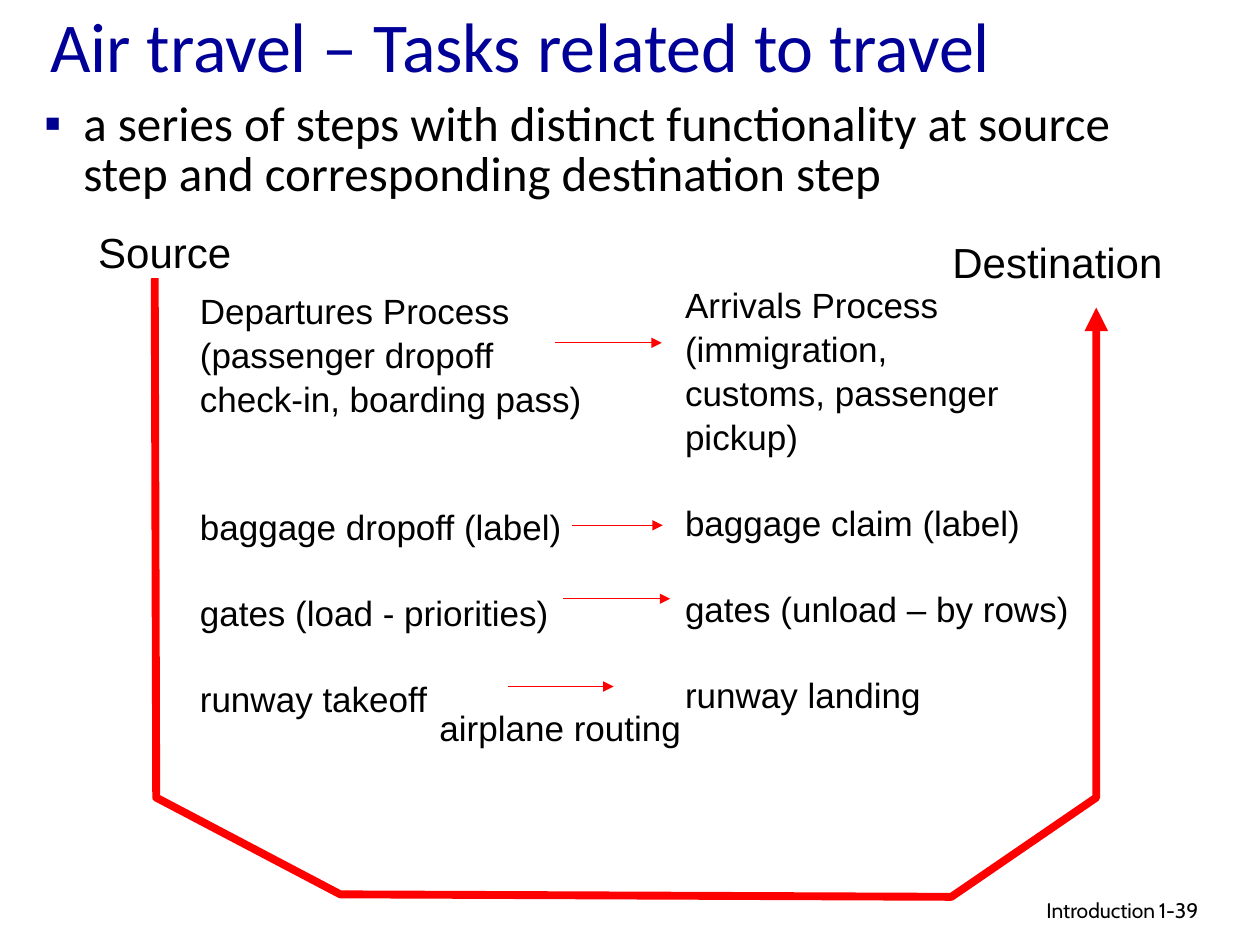
from dataclasses import dataclass

from lxml.etree import SubElement
from pptx import Presentation
from pptx.dml.color import RGBColor
from pptx.enum.text import MSO_ANCHOR, PP_ALIGN
from pptx.enum.shapes import MSO_CONNECTOR
from pptx.oxml.ns import qn
from pptx.util import Cm, Pt


@dataclass(frozen=True)
class Theme:
    """Colours, fonts and type sizes of the slide."""
    ink: RGBColor = RGBColor(0, 0, 0)
    title: RGBColor = RGBColor(0, 0, 0x99)
    bullet: str = "000090"
    route: RGBColor = RGBColor(0xFF, 0, 0)
    heading_font: str = "Calibri"
    label_font: str = "Arial"
    footer_font: str = "Cabin"
    title_size: int = 40
    body_size: int = 28
    place_size: int = 24
    step_size: int = 20
    footer_size: int = 12
    step_gap: int = 24


THEME = Theme()

DEPARTURES = [
    ("Departures Process", 0),
    ("(passenger dropoff", 0),
    ("check-in, boarding pass)", 0),
    ("baggage dropoff (label)", 2),
    ("gates (load - priorities)", 1),
    ("runway takeoff", 1),
]
ARRIVALS = [
    ("Arrivals Process", 0),
    ("(immigration,", 0),
    ("customs, passenger", 0),
    ("pickup)", 0),
    ("baggage claim (label)", 1),
    ("gates (unload – by rows)", 1),
    ("runway landing", 1),
]
ROUTE = [(3.12, 5.61), (3.15, 16.08), (6.86, 18.03),
         (19.18, 18.08), (22.1, 16.08), (22.1, 6.2)]
STEP_ARROWS = [(11.18, 13.34, 6.91), (11.53, 13.36, 10.59),
               (11.35, 13.51, 12.07), (10.24, 12.37, 13.84)]


def apply_format(target, values):
    """Set every attribute named in values on the target."""
    for name, value in values.items():
        setattr(target, name, value)


def add_text(slide, box, lines, font, size, colour=THEME.ink, frame_format=None, paragraph_format=None):
    """Add a text box with one paragraph per (text, gap count) line."""
    shape = slide.shapes.add_textbox(*map(Cm, box))
    frame = shape.text_frame
    apply_format(frame, {"word_wrap": True, **(frame_format or {})})
    for index, (text, gaps) in enumerate(lines):
        paragraph = frame.paragraphs[0] if index == 0 else frame.add_paragraph()
        apply_format(paragraph, paragraph_format or {})
        if gaps:
            paragraph.space_before = Pt(gaps * THEME.step_gap)
        run = paragraph.add_run()
        run.text = text
        apply_format(run.font, {"name": font, "size": Pt(size)})
        run.font.color.rgb = colour
    return shape


def add_label(slide, box, lines, size):
    """Add unwrapped diagram text."""
    return add_text(slide, box, lines, THEME.label_font, size,
                    frame_format={"word_wrap": False}, paragraph_format={"line_spacing": 1.05})


def add_bullet(paragraph):
    """Give a paragraph a square bullet and a hanging indent."""
    properties = paragraph._p.get_or_add_pPr()
    properties.set("marL", str(Cm(0.79)))
    properties.set("indent", str(-Cm(0.79)))
    colour = SubElement(properties, qn("a:buClr"))
    SubElement(colour, qn("a:srgbClr"), val=THEME.bullet)
    SubElement(properties, qn("a:buFont"), typeface=THEME.label_font)
    SubElement(properties, qn("a:buChar"), char="▪")


def style_arrow(shape, width):
    """Draw a shape's line in the route colour with an arrowhead at its end."""
    shape.line.color.rgb = THEME.route
    shape.line.width = Pt(width)
    SubElement(shape.line._get_or_add_ln(), qn("a:tailEnd"), type="triangle")


def add_route(slide, points):
    """Add the open outline from source to destination."""
    start, *others = [(Cm(x), Cm(y)) for x, y in points]
    builder = slide.shapes.build_freeform(*start)
    builder.add_line_segments(others, close=False)
    shape = builder.convert_to_shape()
    shape.shadow.inherit = False
    shape.fill.background()
    style_arrow(shape, 4.5)


def add_step_arrow(slide, left, right, height):
    """Add a thin level arrow between two matching steps."""
    connector = slide.shapes.add_connector(
        MSO_CONNECTOR.STRAIGHT, Cm(left), Cm(height), Cm(right), Cm(height))
    style_arrow(connector, 0.75)
    SubElement(connector._element.spPr, qn("a:effectLst"))


def main():
    """Build and save the slide."""
    presentation = Presentation()
    apply_format(presentation, {"slide_width": Cm(25.4), "slide_height": Cm(19.05)})
    slide = presentation.slides.add_slide(presentation.slide_layouts[6])

    add_text(slide, (0.76, 0, 21.59, 1.78), [("Air travel – Tasks related to travel", 0)],
             THEME.heading_font, THEME.title_size, THEME.title,
             frame_format={"vertical_anchor": MSO_ANCHOR.MIDDLE})
    body = add_text(
        slide, (0.64, 1.93, 23.6, 2.18),
        [("a series of steps with distinct functionality at source step "
          "and corresponding destination step", 0)],
        THEME.heading_font, THEME.body_size, paragraph_format={"line_spacing": 0.85})
    add_bullet(body.text_frame.paragraphs[0])

    add_label(slide, (3.78, 5.66, 8.28, 9.65), DEPARTURES, THEME.step_size)
    add_label(slide, (13.56, 5.54, 8.31, 9.65), ARRIVALS, THEME.step_size)
    add_label(slide, (8.61, 14.07, 5.44, 1.12), [("airplane routing", 0)], THEME.step_size)
    add_route(slide, ROUTE)
    add_label(slide, (1.73, 4.39, 3.23, 1.27), [("Source", 0)], THEME.place_size)
    add_label(slide, (18.95, 4.6, 4.8, 1.27), [("Destination", 0)], THEME.place_size)
    for left, right, height in STEP_ARROWS:
        add_step_arrow(slide, left, right, height)

    add_text(slide, (15.49, 17.96, 8.05, 0.79), [("Introduction", 0)],
             THEME.footer_font, THEME.footer_size,
             paragraph_format={"alignment": PP_ALIGN.RIGHT})
    add_text(slide, (23.11, 17.96, 1.88, 0.76), [("1-39", 0)],
             THEME.footer_font, THEME.footer_size)
    presentation.save("out.pptx")


if __name__ == "__main__":
    main()
